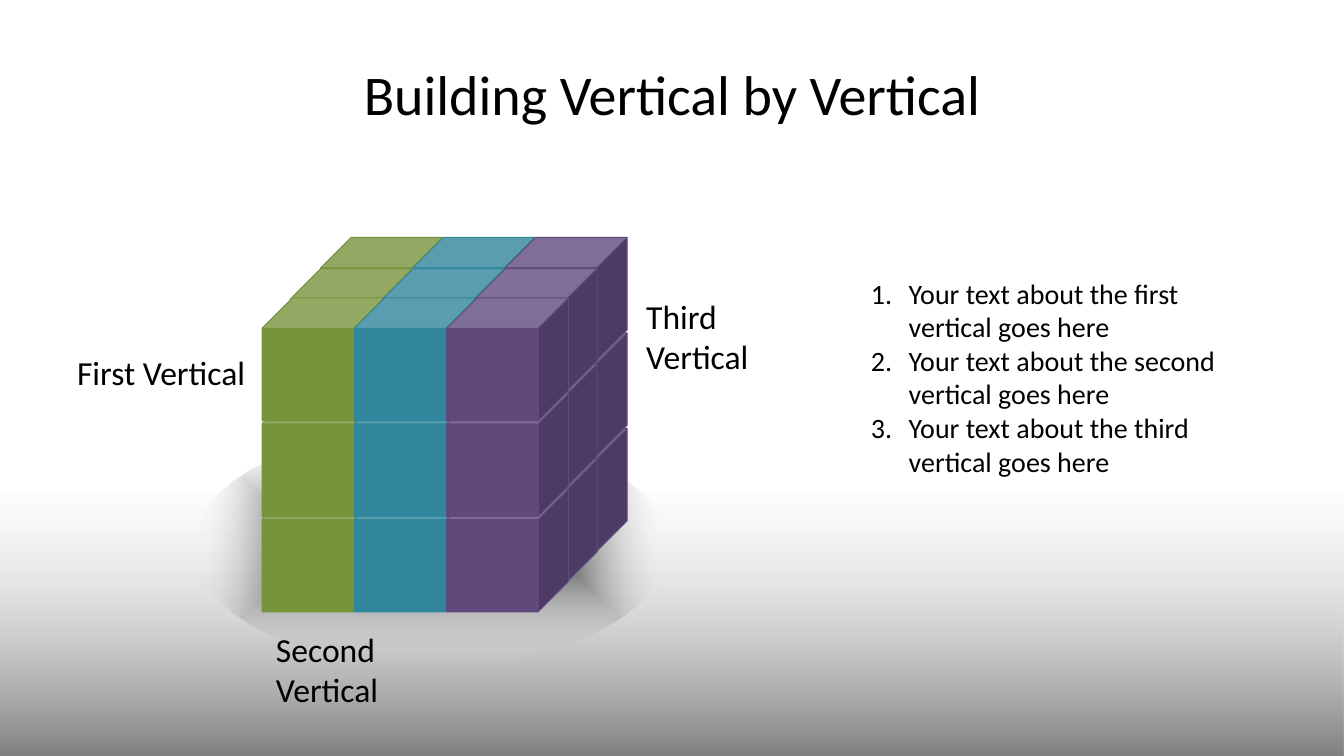
from dataclasses import dataclass

from pptx import Presentation
from pptx.dml.color import RGBColor
from pptx.enum.shapes import MSO_SHAPE
from pptx.enum.text import MSO_ANCHOR, PP_ALIGN
from pptx.oxml import parse_xml
from pptx.oxml.ns import nsdecls, qn
from pptx.util import Pt

TITLE = "Building Vertical by Vertical"
LABELS = [  # text, left, top, width
    ("First Vertical", 48, 247.5, 138),
    ("Second Vertical", 190, 445.5, 146),
    ("Third Vertical", 454.5, 207.5, 132),
]
NOTES = [
    "Your text about the first vertical goes here",
    "Your text about the second vertical goes here",
    "Your text about the third vertical goes here",
]


@dataclass(frozen=True)
class Theme:
    font: str = "Calibri"
    ink: str = "000000"
    verticals: tuple = ("77933C", "31859C", "604A7B")
    floor: tuple = ((0, "D9D9D9", 4), (46, "BFBFBF", 60), (100, "808080", 100))
    shade: tuple = ((24, "000000", 44), (100, "FFFFFF", 0))
    title: int = 40
    label: int = 24
    note: int = 20


THEME = Theme()
FLOOR_DIRECTION = '<a:lin ang="5400000" scaled="0"/>'
SHADE_DIRECTION = ('<a:path path="shape"><a:fillToRect l="50000" t="50000" '
                   'r="50000" b="50000"/></a:path>')

CUBE_SIZE = (87.2, 87.8)
FRONT_LEFT, BOTTOM_TOP = 187.2, 349.2
COLUMN_STEP, ROW_STEP = 65.9, 68.2
DEPTH_OFFSETS = [(41.8, 43.2), (20.3, 21), (0, 0)]  # back to front
INDENT = 27


def points(*lengths):
    return [Pt(length) for length in lengths]


def add_backdrop(page, preset, frame, stops, direction):
    """Add a borderless gradient shape beneath the title."""
    shape = page.shapes.add_shape(preset, *points(*frame))
    shape.shadow.inherit = False
    shape.line.fill.background()
    shape.fill.gradient()
    stop_xml = "".join(
        f'<a:gs pos="{position * 1000}"><a:srgbClr val="{color}">'
        f'<a:alpha val="{opacity * 1000}"/></a:srgbClr></a:gs>'
        for position, color, opacity in stops)
    gradient = shape.element.spPr.find(qn("a:gradFill"))
    gradient.getparent().replace(gradient, parse_xml(
        f'<a:gradFill {nsdecls("a")} rotWithShape="1">'
        f"<a:gsLst>{stop_xml}</a:gsLst>{direction}</a:gradFill>"))
    page.shapes.title.element.addprevious(shape.element)


def add_layer(page, color, left, top):
    """Add one row of cubes running from back to front."""
    layer = page.shapes.add_group_shape()
    for shift, rise in DEPTH_OFFSETS:
        cube = layer.shapes.add_shape(
            MSO_SHAPE.CUBE, *points(left + shift, top - rise, *CUBE_SIZE))
        cube.adjustments[0] = 0.25
        cube.shadow.inherit = False
        cube.fill.solid()
        cube.fill.fore_color.rgb = RGBColor.from_string(color)
        cube.line.color.rgb = RGBColor.from_string(color)
        cube.line.width = Pt(0.75)


def style(para, size):
    para.font.name = THEME.font
    para.font.size = Pt(size)
    para.font.color.rgb = RGBColor.from_string(THEME.ink)


def add_text(page, frame, lines, size, numbered=False):
    box = page.shapes.add_textbox(*points(*frame))
    box.text_frame.word_wrap = True
    box.text_frame.text = "\n".join(lines)
    for para in box.text_frame.paragraphs:
        if numbered:
            properties = para._p.get_or_add_pPr()
            properties.set("marL", str(Pt(INDENT)))
            properties.set("indent", str(-Pt(INDENT)))
            properties.append(parse_xml(
                f'<a:buAutoNum {nsdecls("a")} type="arabicPeriod"/>'))
        style(para, size)


def main():
    deck = Presentation()
    deck.slide_width, deck.slide_height = points(960, 540)
    page = deck.slides.add_slide(deck.slide_layouts[5])

    title = page.shapes.title
    title.left, title.top, title.width, title.height = points(48, 21.6, 864, 90)
    title.text_frame.text = TITLE
    title.text_frame.vertical_anchor = MSO_ANCHOR.MIDDLE
    heading = title.text_frame.paragraphs[0]
    heading.alignment = PP_ALIGN.CENTER
    style(heading, THEME.title)

    add_backdrop(page, MSO_SHAPE.RECTANGLE, (0, 352.8, 960, 187.2),
                 THEME.floor, FLOOR_DIRECTION)
    add_backdrop(page, MSO_SHAPE.OVAL, (138.2, 306, 338.4, 169.2),
                 THEME.shade, SHADE_DIRECTION)

    for column, color in enumerate(THEME.verticals):
        for row in range(3):
            add_layer(page, color, FRONT_LEFT + column * COLUMN_STEP,
                      BOTTOM_TOP - row * ROW_STEP)

    for text, left, top, width in LABELS:
        add_text(page, (left, top, width, 36), [text], THEME.label)
    add_text(page, (615, 193.7, 291, 152.6), NOTES, THEME.note, numbered=True)

    deck.save("out.pptx")


if __name__ == "__main__":
    main()
